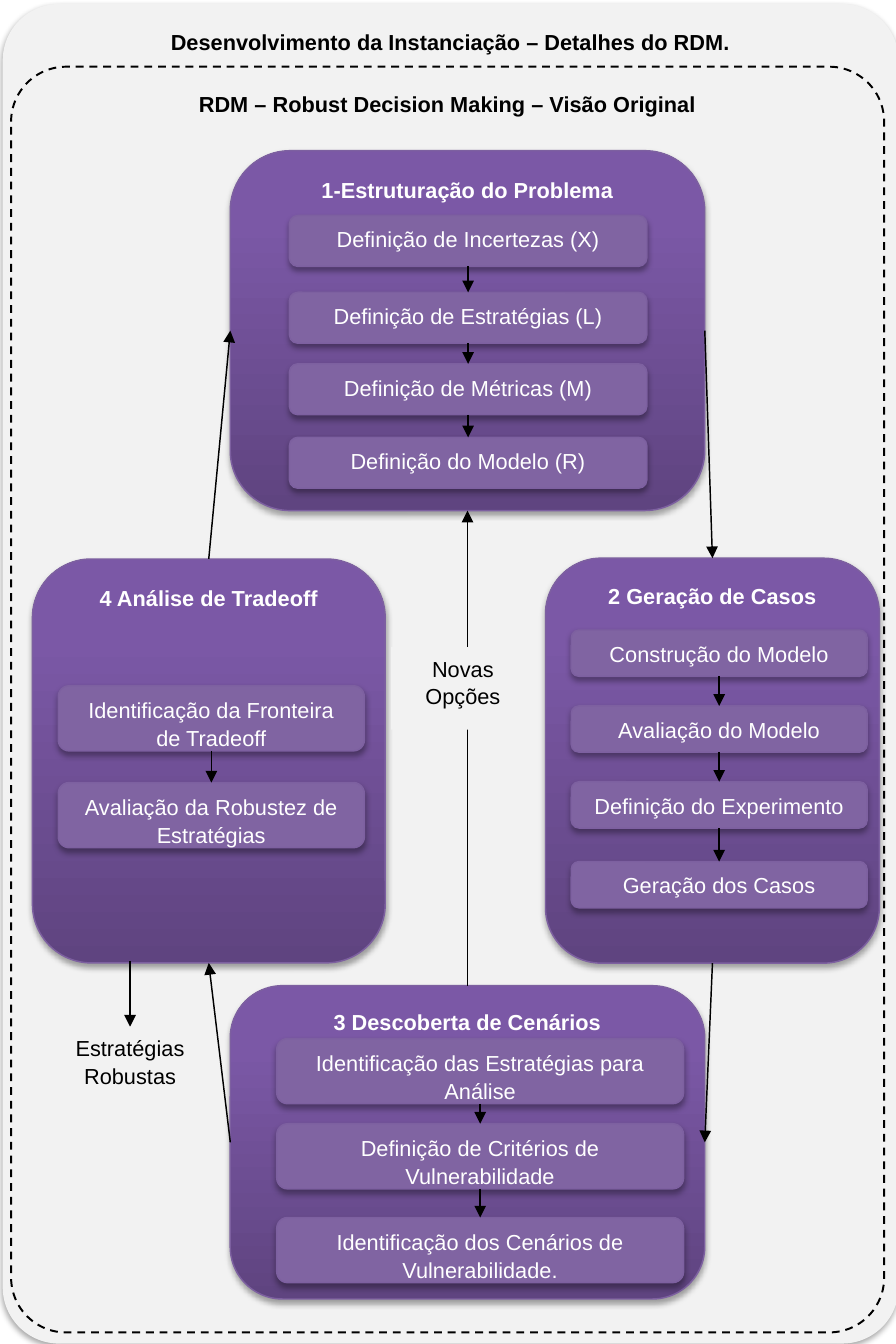
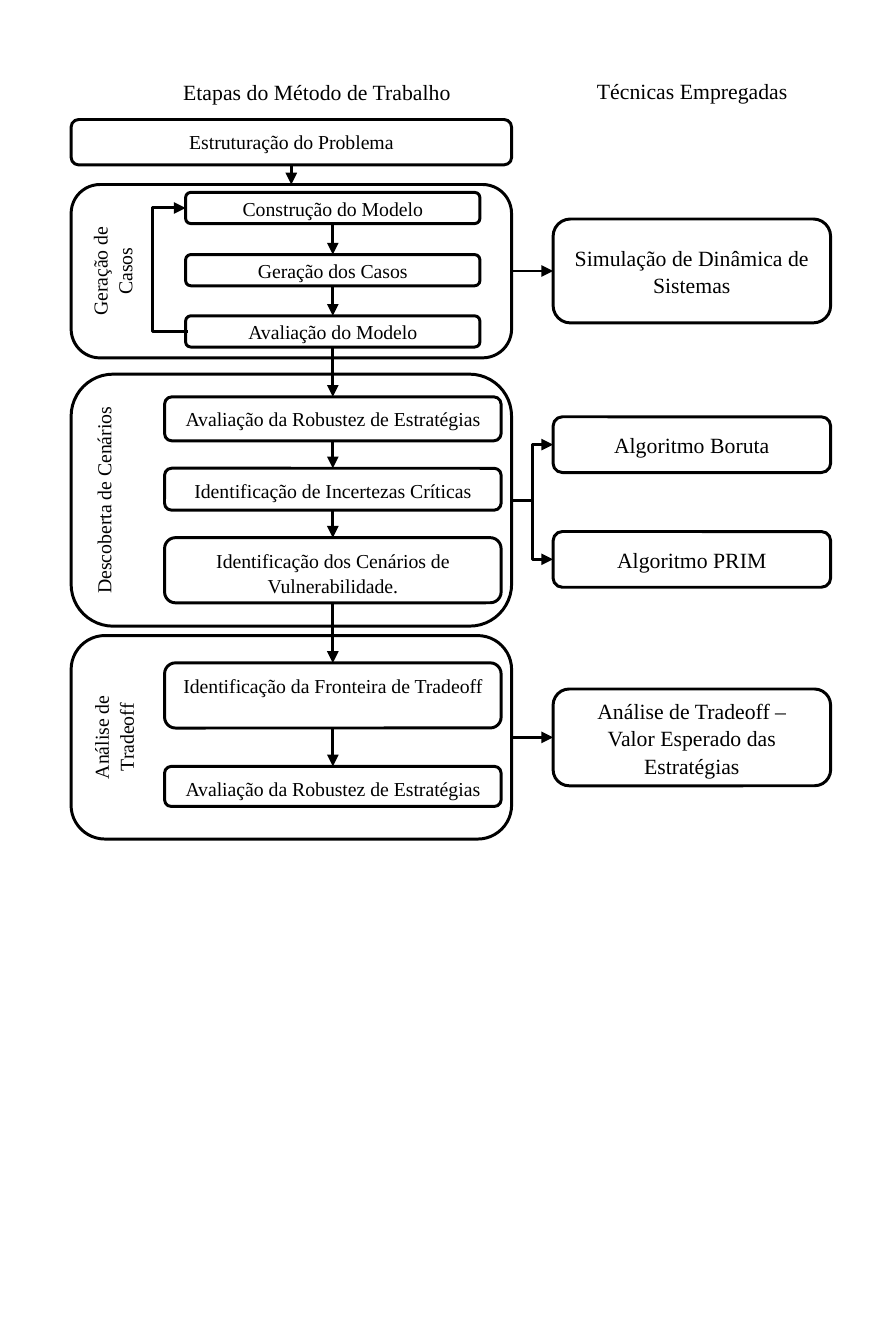
from dataclasses import dataclass

import lxml.etree
import pptx
import pptx.dml.color
import pptx.enum.shapes
import pptx.enum.text
import pptx.oxml
import pptx.oxml.ns
import pptx.util

Pt = pptx.util.Pt
Point = tuple[float, float]
qn = pptx.oxml.ns.qn

# Shared look
BLACK, WHITE, PANEL_GREY = "000000", "FFFFFF", "F2F2F2"
STEP_PURPLE, EDGE_PURPLE = "8064A2", "7D60A0"
STAGE_GRADIENT = ((0, "5F4480"), (80, "7B58A6"), (100, "7C57A8"))
SANS, SERIF = "Arial", "Times New Roman"
ROUND = pptx.enum.shapes.MSO_SHAPE.ROUNDED_RECTANGLE
RECT = pptx.enum.shapes.MSO_SHAPE.RECTANGLE
STRAIGHT = pptx.enum.shapes.MSO_CONNECTOR.STRAIGHT
ELBOW = pptx.enum.shapes.MSO_CONNECTOR.ELBOW
TOP = pptx.enum.text.MSO_ANCHOR.TOP
MIDDLE = pptx.enum.text.MSO_ANCHOR.MIDDLE
FRAME_ROUNDING = 0.063


@dataclass(frozen=True)
class Box:
    """A labelled area, with its edge midpoints, in points."""
    label: str
    left: float
    top: float
    width: float
    height: float

    @property
    def top_mid(self) -> Point:
        return self.left + self.width / 2, self.top

    @property
    def bottom_mid(self) -> Point:
        return self.left + self.width / 2, self.top + self.height

    @property
    def left_mid(self) -> Point:
        return self.left, self.top + self.height / 2

    @property
    def right_mid(self) -> Point:
        return self.left + self.width, self.top + self.height / 2


def rgb(hex_code: str) -> pptx.dml.color.RGBColor:
    return pptx.dml.color.RGBColor.from_string(hex_code)


def write_text(frame, text: str, *, font: str = SANS, size: float = 11, color: str = BLACK,
               bold: bool = False, anchor=TOP, upward: bool = False) -> None:
    frame.word_wrap = True
    frame.auto_size = pptx.enum.text.MSO_AUTO_SIZE.NONE
    frame.vertical_anchor = anchor
    if upward:
        frame._txBody.bodyPr.set("vert", "vert270")
    frame.text = text
    for paragraph in frame.paragraphs:
        paragraph.alignment = pptx.enum.text.PP_ALIGN.CENTER
        paragraph.line_spacing = 1.05
        paragraph.font.name = font
        paragraph.font.size = Pt(size)
        paragraph.font.bold = bold
        paragraph.font.color.rgb = rgb(color)


def fill_gradient(shape) -> None:
    stops = "".join(f'<a:gs pos="{position * 1000}"><a:srgbClr val="{color}"/></a:gs>'
                    for position, color in STAGE_GRADIENT)
    gradient = pptx.oxml.parse_xml(
        f'<a:gradFill {pptx.oxml.ns.nsdecls("a")} rotWithShape="1"><a:gsLst>{stops}</a:gsLst>'
        '<a:lin ang="16200000" scaled="0"/></a:gradFill>')
    shape.element.spPr.find(qn("a:prstGeom")).addnext(gradient)


def cast_shadow(shape) -> None:
    shadow = pptx.oxml.parse_xml(
        f'<a:outerShdw {pptx.oxml.ns.nsdecls("a")} blurRad="{Pt(3.1)}" dist="{Pt(1.8)}" '
        'dir="5400000" rotWithShape="0"><a:srgbClr val="000000">'
        '<a:alpha val="35000"/></a:srgbClr></a:outerShdw>')
    shape.element.spPr.find(qn("a:effectLst")).append(shadow)


def add_box(slide, box: Box, *, kind=ROUND, fill: str | None = None, gradient: bool = False,
            line: str | None = None, line_width: float = 0.75, dashed: bool = False,
            shadow: bool = False, rounding: float | None = None, **text_format) -> Box:
    shape = slide.shapes.add_shape(kind, Pt(box.left), Pt(box.top), Pt(box.width), Pt(box.height))
    if rounding is not None:
        shape.adjustments[0] = rounding
    if gradient:
        fill_gradient(shape)
    elif fill:
        shape.fill.solid()
        shape.fill.fore_color.rgb = rgb(fill)
    else:
        shape.fill.background()
    if line:
        shape.line.color.rgb = rgb(line)
        shape.line.width = Pt(line_width)
        if dashed:
            shape.line.dash_style = pptx.enum.dml.MSO_LINE.DASH
    else:
        shape.line.fill.background()
    shape.shadow.inherit = False
    if shadow:
        cast_shadow(shape)
    if box.label:
        write_text(shape.text_frame, box.label, **text_format)
    return box


def add_arrow(slide, start: Point, end: Point, *, width: float = 0.75, kind=STRAIGHT,
              bend: float | None = None) -> None:
    arrow = slide.shapes.add_connector(kind, *(Pt(value) for value in (*start, *end)))
    arrow.line.color.rgb = rgb(BLACK)
    arrow.line.width = Pt(width)
    properties = arrow.element.spPr
    if bend is not None:
        guides = properties.find(qn("a:prstGeom")).get_or_add_avLst()
        lxml.etree.SubElement(guides, qn("a:gd"), name="adj1", fmla=f"val {round(bend * 100000)}")
    lxml.etree.SubElement(properties.find(qn("a:ln")), qn("a:tailEnd"), type="triangle")
    lxml.etree.SubElement(properties, qn("a:effectLst"))


def chain(slide, steps: list[Box], *, width: float = 0.75) -> None:
    for step, following in zip(steps, steps[1:]):
        add_arrow(slide, step.bottom_mid, following.top_mid, width=width)


def add_title(slide, box: Box, **text_format) -> None:
    title = slide.shapes.title
    title.left, title.top = Pt(box.left), Pt(box.top)
    title.width, title.height = Pt(box.width), Pt(box.height)
    write_text(title.text_frame, box.label, **text_format)
    # Bring the title in front of the panel
    slide.shapes.element.append(title.element)


def build_rdm_cycle(slide) -> None:
    # Panel, title and dashed frame
    add_box(slide, Box("", 1.4, 2, 453.6, 678.2), fill=PANEL_GREY, shadow=True,
            rounding=FRAME_ROUNDING)
    add_title(slide, Box("Desenvolvimento da Instanciação – Detalhes do RDM.", 1.4, 10.5, 453.6, 20),
              bold=True)
    add_box(slide, Box("RDM – Robust Decision Making – Visão Original", 5.6, 33.8, 442, 640.8),
            line=BLACK, line_width=1, dashed=True, rounding=FRAME_ROUNDING, bold=True)

    # Stages
    structuring = Box("1-Estruturação do Problema", 116.6, 76.3, 240.2, 182.2)
    cases = Box("2 Geração de Casos", 276.2, 282.6, 169, 205)
    scenarios = Box("3 Descoberta de Cenários", 116.6, 499, 240.2, 158.6)
    tradeoff = Box("4 Análise de Tradeoff", 16.4, 283, 178.6, 204.5)
    for stage in (structuring, cases, scenarios, tradeoff):
        add_box(slide, stage, gradient=True, line=EDGE_PURPLE, shadow=True, color=WHITE, bold=True)

    # Steps inside each stage: left, width, height, then top and label of each
    step_columns = (
        (146.5, 181, 25.8, ((109.1, "Definição de Incertezas (X)"),
                            (148, "Definição de Estratégias (L)"),
                            (184.2, "Definição de Métricas (M)"),
                            (221.4, "Definição do Modelo (R)"))),
        (289.2, 149.8, 23.4, ((319, "Construção do Modelo"),
                              (357.4, "Avaliação do Modelo"),
                              (395.8, "Definição do Experimento"),
                              (436.2, "Geração dos Casos"))),
        (140.1, 206, 33, ((525.8, "Identificação das Estratégias para Análise"),
                          (568.9, "Definição de Critérios de Vulnerabilidade"),
                          (616.4, "Identificação dos Cenários de Vulnerabilidade."))),
        (29.5, 155, 33, ((347.2, "Identificação da Fronteira de Tradeoff"),
                         (396.2, "Avaliação da Robustez de Estratégias"))),
    )
    for left, width, height, rows in step_columns:
        steps = [add_box(slide, Box(label, left, top, width, height), fill=STEP_PURPLE,
                         line=EDGE_PURPLE, shadow=True, color=WHITE) for top, label in rows]
        chain(slide, steps)

    # Cycle between stages, and its outcomes
    robust = Box("Estratégias Robustas", 29.5, 519.8, 72.7, 41.8)
    for start, end in ((structuring.right_mid, cases.top_mid),
                       (cases.bottom_mid, scenarios.right_mid),
                       (scenarios.left_mid, tradeoff.bottom_mid),
                       (tradeoff.top_mid, structuring.left_mid),
                       (scenarios.top_mid, structuring.bottom_mid),
                       ((robust.top_mid[0], 486.7), robust.top_mid)):
        add_arrow(slide, start, end)
    for outcome in (robust, Box("Novas Opções", 198, 327.6, 72.7, 41.8)):
        add_box(slide, outcome, kind=RECT, fill=PANEL_GREY)


def build_work_method(slide) -> None:
    outline = {"fill": WHITE, "line": BLACK, "line_width": 1.5, "font": SERIF}

    # Column headings
    add_title(slide, Box("Etapas do Método de Trabalho", 60.5, 35.4, 200, 20), font=SERIF)
    techniques_heading = slide.shapes.add_textbox(Pt(280.5), Pt(35.4), Pt(140), Pt(20))
    write_text(techniques_heading.text_frame, "Técnicas Empregadas", font=SERIF)

    # Phases
    problem = add_box(slide, Box("Estruturação do Problema", 36, 60.5, 223, 23), size=10, **outline)
    cases, scenarios, tradeoff = (
        add_box(slide, Box(label, 36, top, 223, height), size=10, upward=True, **outline)
        for label, top, height in (("Geração de Casos", 93.4, 87.8),
                                   ("Descoberta de Cenários", 189.4, 127.6),
                                   ("Análise de Tradeoff", 321.8, 103)))

    # Steps
    model_steps = [
        add_box(slide, Box(label, 94, top, 149, 15.8), size=10, anchor=MIDDLE, **outline)
        for label, top in (("Construção do Modelo", 97.4),
                           ("Geração dos Casos", 128.9),
                           ("Avaliação do Modelo", 159.9))]
    analysis_steps = [
        add_box(slide, Box(label, 83.3, top, 170.4, height), size=10, **outline)
        for label, top, height in (
            ("Avaliação da Robustez de Estratégias", 200.9, 22.3),
            ("Identificação de Incertezas Críticas", 237.1, 21.2),
            ("Identificação dos Cenários de Vulnerabilidade.", 272.2, 33),
            ("Identificação da Fronteira de Tradeoff", 335.6, 33),
            ("Avaliação da Robustez de Estratégias", 388, 20.3))]

    # Techniques
    simulation, boruta, prim, expected_value = (
        add_box(slide, Box(label, 280, top, 140.5, height), anchor=MIDDLE, **outline)
        for label, top, height in (
            ("Simulação de Dinâmica de Sistemas", 110.9, 52.6),
            ("Algoritmo Boruta", 211, 28.2),
            ("Algoritmo PRIM", 269.1, 28.2),
            ("Análise de Tradeoff –\nValor Esperado das Estratégias", 348.8, 49)))

    # Flow
    add_arrow(slide, problem.bottom_mid, cases.top_mid, width=1.5)
    chain(slide, model_steps + analysis_steps, width=1.5)
    for phase, technique in ((cases, simulation), (tradeoff, expected_value)):
        end = technique.left_mid
        add_arrow(slide, (phase.right_mid[0], end[1]), end, width=1.5)
    for technique in (boruta, prim):
        add_arrow(slide, scenarios.right_mid, technique.left_mid, width=1.5, kind=ELBOW, bend=0.5)
    loop_x, loop_y = model_steps[-1].left_mid
    add_arrow(slide, (loop_x + 1, loop_y), model_steps[0].left_mid, width=1.5, kind=ELBOW, bend=18)


def main() -> None:
    deck = pptx.Presentation()
    deck.slide_width, deck.slide_height = Pt(453.6), Pt(680.4)
    title_only = deck.slide_layouts[5]
    for build in (build_rdm_cycle, build_work_method):
        build(deck.slides.add_slide(title_only))
    deck.save("out.pptx")


if __name__ == "__main__":
    main()
